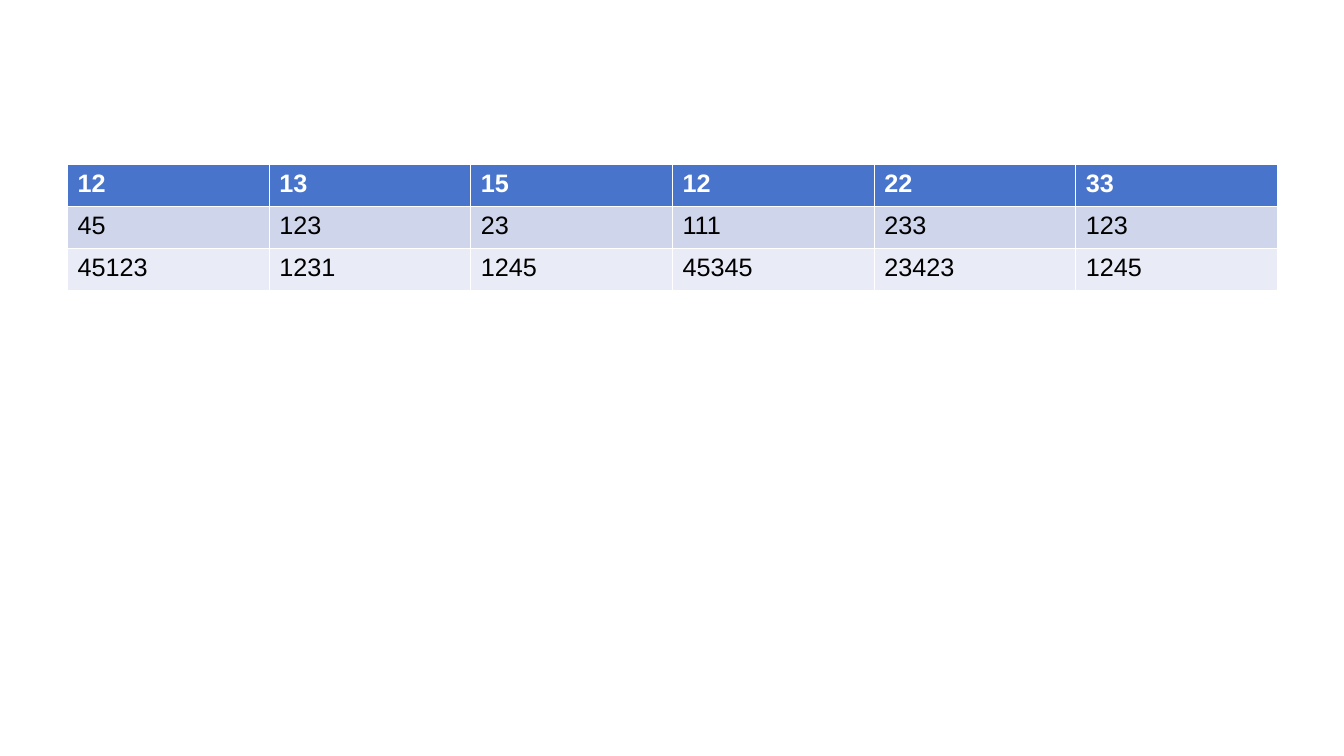
from pptx import Presentation
from pptx.dml.color import RGBColor
from pptx.util import Inches, Pt

ROWS = [
    ("4874CB", "FFFFFF", ["12", "13", "15", "12", "22", "33"]),
    ("CFD6EC", "000000", ["45", "123", "23", "111", "233", "123"]),
    ("E9EBF6", "000000", ["45123", "1231", "1245", "45345", "23423", "1245"]),
]


def color(hex_code):
    return RGBColor.from_string(hex_code)


deck = Presentation()
deck.slide_width = Inches(13.33)
deck.slide_height = Inches(7.5)
page = deck.slides.add_slide(deck.slide_layouts[6])

table = page.shapes.add_table(
    len(ROWS), 6, Inches(0.67), Inches(1.63), Inches(12), Inches(1.25)
).table

for row_index, (fill, ink, values) in enumerate(ROWS):
    for column_index, value in enumerate(values):
        cell = table.cell(row_index, column_index)
        cell.fill.solid()
        cell.fill.fore_color.rgb = color(fill)
        cell.text = value
        font = cell.text_frame.paragraphs[0].font
        font.name = "Arial"
        font.size = Pt(18)
        font.bold = row_index == 0
        font.color.rgb = color(ink)

deck.save("out.pptx")
